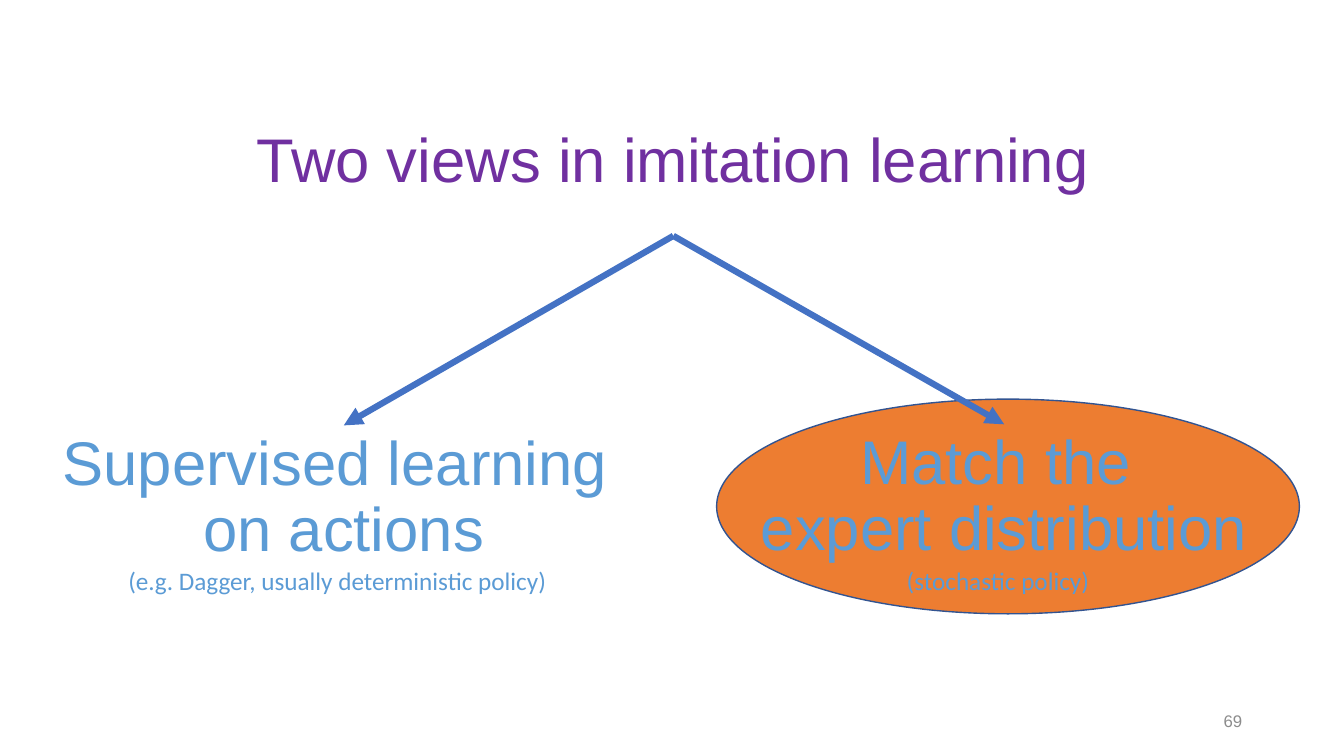
from lxml import etree
from pptx import Presentation
from pptx import util as u
from pptx.dml.color import RGBColor
from pptx.enum import shapes, text
from pptx.oxml.ns import qn

COLORS = {
    "title": "7030A0",
    "view": "5B9BD5",
    "highlight": "ED7D31",
    "outline": "325491",
    "arrow": "4472C4",
    "number": "8C8C8C",
}

presentation = Presentation()
presentation.slide_width = u.Inches(13.33)
presentation.slide_height = u.Inches(7.5)
slide = presentation.slides.add_slide(presentation.slide_layouts[6])

# Grid: one hundred columns by one hundred rows
COLUMN = presentation.slide_width / 100
ROW = presentation.slide_height / 100


def place(center, top, width, height):
    """Turn a centre column, top row and size into slide lengths."""
    return (round((center - width / 2) * COLUMN), round(top * ROW),
            round(width * COLUMN), round(height * ROW))


def add_label(lines, area, size, color, font="Arial", spacing=None,
              align=text.PP_ALIGN.CENTER):
    box = slide.shapes.add_textbox(*place(*area))
    frame = box.text_frame
    frame.word_wrap = True
    frame.vertical_anchor = text.MSO_ANCHOR.MIDDLE
    for index, line in enumerate(lines):
        paragraph = frame.add_paragraph() if index else frame.paragraphs[0]
        paragraph.alignment = align
        paragraph.line_spacing = spacing
        run = paragraph.add_run()
        run.text = line
        run.font.size = u.Pt(size)
        run.font.name = font
        run.font.color.rgb = RGBColor.from_string(COLORS[color])
    return box


# Ellipse behind the view in focus
ellipse = slide.shapes.add_shape(shapes.MSO_SHAPE.OVAL, *place(75, 52.8, 43.36, 28.4))
ellipse.shadow.inherit = False
ellipse.fill.solid()
ellipse.fill.fore_color.rgb = RGBColor.from_string(COLORS["highlight"])
ellipse.line.color.rgb = RGBColor.from_string(COLORS["outline"])
ellipse.line.width = u.Pt(1)

# Title and slide number
title = add_label(["Two views in imitation learning"],
                  (50.1, 11.87, 86.27, 19.33), 44, "title", spacing=0.9)
add_label(["69"], (81.92, 92.67, 22.5, 5.33), 12, "number",
          align=text.PP_ALIGN.RIGHT)

# Two views: heading, caption, and an arrow from the title
views = [
    (25.58, 56.27, ["Supervised learning ", "on actions"],
     25.1, "(e.g. Dagger, usually deterministic policy)"),
    (74.72, 56.13, ["Match the ", "expert distribution"],
     74.25, "(stochastic policy)"),
]
for center, top, heading_lines, caption_center, caption in views:
    heading = add_label(heading_lines, (center, top, 48.76, 19.33), 44, "view",
                        spacing=0.9)
    add_label([caption], (caption_center, 74.07, 50, 5.39), 18, "view", font="Calibri")

    arrow = slide.shapes.add_connector(shapes.MSO_CONNECTOR.STRAIGHT, 0, 0, 0, 0)
    arrow.begin_connect(title, 2)
    arrow.end_connect(heading, 0)
    arrow.line.color.rgb = RGBColor.from_string(COLORS["arrow"])
    arrow.line.width = u.Pt(4.5)
    etree.SubElement(arrow.line._get_or_add_ln(), qn("a:tailEnd"), type="triangle")
    etree.SubElement(arrow._element.spPr, qn("a:effectLst"))

presentation.save("out.pptx")
